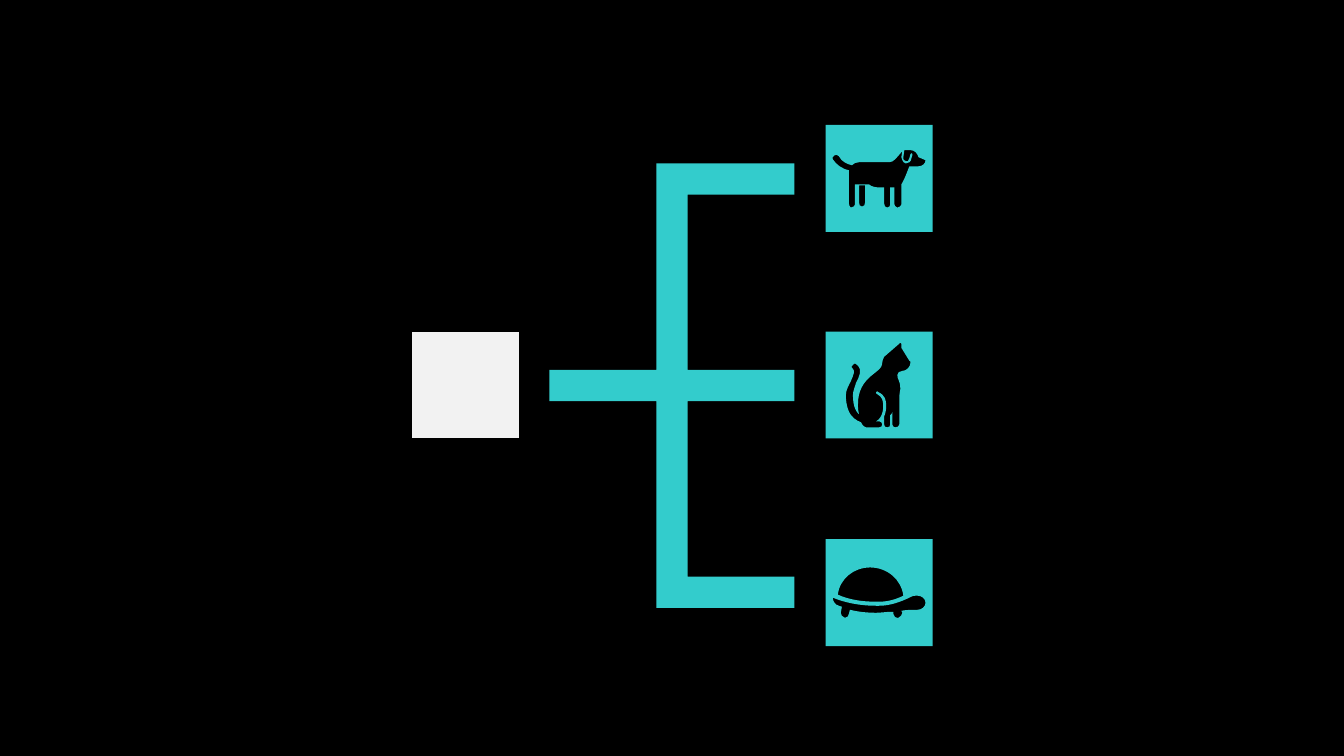
from dataclasses import dataclass

from lxml.etree import SubElement
from pptx import Presentation
from pptx.dml.color import RGBColor
from pptx.oxml.ns import qn
from pptx.shapes.autoshape import Shape
from pptx.slide import Slide
from pptx.util import Inches

Point = tuple[float, float]

BLACK, WHITE, TEAL = "000000", "F2F2F2", "33CCCC"
TILE = 1.06
ROW_TOPS = (1.24, 3.29, 5.35)

# Icon outlines: M, L, C and Z commands in hundredths of an inch from the tile corner
DOG = """
M 33 60 L 33 77 C 33 79 34 81 36 81 C 38 81 39 79 39 77 L 39 60 Z
M 78 25 L 77 32 C 77 33 77 33 77 34 C 78 35 79 36 80 36 C 81 36 82 36 82 35
C 83 34 83 34 83 33 L 84 29 C 84 29 85 28 85 28 C 86 28 86 29 86 30 L 85 33
C 85 35 84 36 83 37 C 82 38 81 38 80 38 C 80 38 80 38 79 38 C 78 37 76 37 76 35
C 75 34 75 33 75 32 L 76 26 L 69 34 C 67 36 65 37 63 37 L 33 37
C 30 37 28 38 26 40 C 22 39 16 37 13 31 C 12 30 10 29 9 30 C 7 31 6 33 7 34
C 12 41 18 44 23 45 C 23 46 23 47 23 47 L 23 78 C 23 80 24 81 25 82
C 27 82 29 80 29 79 L 29 59 L 43 59 C 45 61 49 62 54 62 C 54 62 56 62 58 62
L 58 78 C 58 80 59 82 61 82 C 63 82 64 80 64 79 L 64 62 L 68 62 L 68 78
C 68 80 69 81 71 82 C 73 82 75 80 75 79 L 75 59 C 77 56 79 51 79 51 L 83 41
L 92 41 C 96 41 99 38 99 35 L 92 32 C 91 28 88 25 84 25 Z
"""
CAT = """
M 74 11 C 74 11 73 11 73 12 L 58 25 C 57 27 56 29 56 31 L 56 32
C 56 41 32 44 32 72 C 32 76 32 79 33 82 C 32 82 32 82 32 81 C 30 79 27 74 27 63
C 27 59 29 55 30 51 C 33 45 37 38 31 33 C 30 31 28 31 27 33 C 25 34 25 36 27 37
C 29 39 28 42 25 49 C 23 53 20 58 20 63 C 20 74 23 82 28 86 C 30 88 33 89 35 90
C 37 94 39 95 40 95 L 53 95 C 55 95 56 94 56 92 C 56 91 55 89 53 89 L 50 89
C 54 87 57 82 57 74 C 57 68 56 65 51 62 C 50 62 50 61 50 60 C 51 59 52 59 52 60
C 59 63 60 68 60 74 C 60 78 59 82 58 84 L 58 92 C 58 94 59 95 61 95
C 63 95 64 94 64 92 L 64 83 C 65 82 66 81 66 80 L 66 92 C 66 94 68 95 69 95
C 71 95 73 94 73 92 L 73 64 C 73 61 74 59 74 57 C 74 48 71 48 71 43
C 71 41 73 39 76 39 C 80 39 84 35 84 31 C 84 30 84 29 83 29 L 75 16 L 75 12
C 75 12 74 12 74 11 Z
"""
TURTLE = """
M 91 56 C 88 56 86 56 85 57 C 75 62 64 66 53 66 C 52 66 51 66 50 66
C 34 66 19 63 7 58 C 7 61 9 65 13 66 C 14 67 15 67 16 67 L 15 73
C 15 75 16 77 19 78 C 19 78 19 78 19 78 C 21 78 23 76 23 74 L 24 70
C 32 72 41 73 50 73 C 55 73 60 72 65 72 C 66 72 66 72 67 72 L 67 74
C 68 77 69 78 71 78 C 72 78 72 78 72 78 C 74 77 76 75 76 73 L 75 71
C 80 70 86 70 91 70 C 91 70 91 70 91 70 C 95 70 99 67 99 63 C 99 59 95 56 91 56 Z
M 44 28 C 28 28 14 39 12 55 C 23 60 36 62 50 62 C 51 62 52 62 53 62
C 61 62 69 60 77 56 C 75 40 61 28 44 28 Z
"""
# Path element and number of points for each command
COMMANDS = {"M": ("a:moveTo", 1), "L": ("a:lnTo", 1), "C": ("a:cubicBezTo", 3), "Z": ("a:close", 0)}


@dataclass(frozen=True)
class Tile:
    left: float
    top: float
    color: str
    icon: str = ""


ROOT_TILE = Tile(4.09, ROW_TOPS[1], WHITE)
ANIMAL_TILES = [Tile(8.19, top, TEAL, icon) for top, icon in zip(ROW_TOPS, (DOG, CAT, TURTLE))]


def color_of(value: str) -> RGBColor:
    return RGBColor.from_string(value)


def draw_outline(slide: Slide, points: list[Point], color: str) -> Shape:
    start, *others = [(Inches(x), Inches(y)) for x, y in points]
    builder = slide.shapes.build_freeform(*start)
    builder.add_line_segments(others, close=True)
    shape = builder.convert_to_shape()
    shape.shadow.inherit = False
    shape.fill.solid()
    shape.fill.fore_color.rgb = color_of(color)
    shape.line.fill.background()
    return shape


def cut_icon(shape: Shape, icon: str) -> None:
    """Add the icon's curves to the outline, so that they become holes."""
    outline = next(shape._element.iter(qn("a:path")))
    tokens = iter(icon.split())
    for command in tokens:
        tag, count = COMMANDS[command]
        segment = SubElement(outline, qn(tag))
        for _ in range(count):
            point = SubElement(segment, qn("a:pt"))
            for axis in ("x", "y"):
                point.set(axis, str(Inches(int(next(tokens)) / 100)))


def draw_tile(slide: Slide, tile: Tile) -> None:
    right, bottom = tile.left + TILE, tile.top + TILE
    corners = [(tile.left, tile.top), (right, tile.top), (right, bottom), (tile.left, bottom)]
    cut_icon(draw_outline(slide, corners, tile.color), tile.icon)


def branch_points() -> list[Point]:
    """One stem that splits into three arms."""
    left, trunk, right, bar = 5.45, 6.51, 7.88, 0.31
    inner = trunk + bar
    top, middle, bottom = 1.62, 3.67, 5.72
    return [
        (trunk, top), (right, top), (right, top + bar), (inner, top + bar),
        (inner, middle), (right, middle), (right, middle + bar), (inner, middle + bar),
        (inner, bottom), (right, bottom), (right, bottom + bar), (trunk, bottom + bar),
        (trunk, middle + bar), (left, middle + bar), (left, middle), (trunk, middle),
    ]


def main() -> None:
    deck = Presentation()
    deck.slide_width, deck.slide_height = Inches(13.33), Inches(7.5)
    page = deck.slides.add_slide(deck.slide_layouts[6])

    # Background
    page.background.fill.solid()
    page.background.fill.fore_color.rgb = color_of(BLACK)

    # Root, branch and animals
    draw_tile(page, ROOT_TILE)
    draw_outline(page, branch_points(), TEAL)
    for tile in ANIMAL_TILES:
        draw_tile(page, tile)

    deck.save("out.pptx")


if __name__ == "__main__":
    main()
